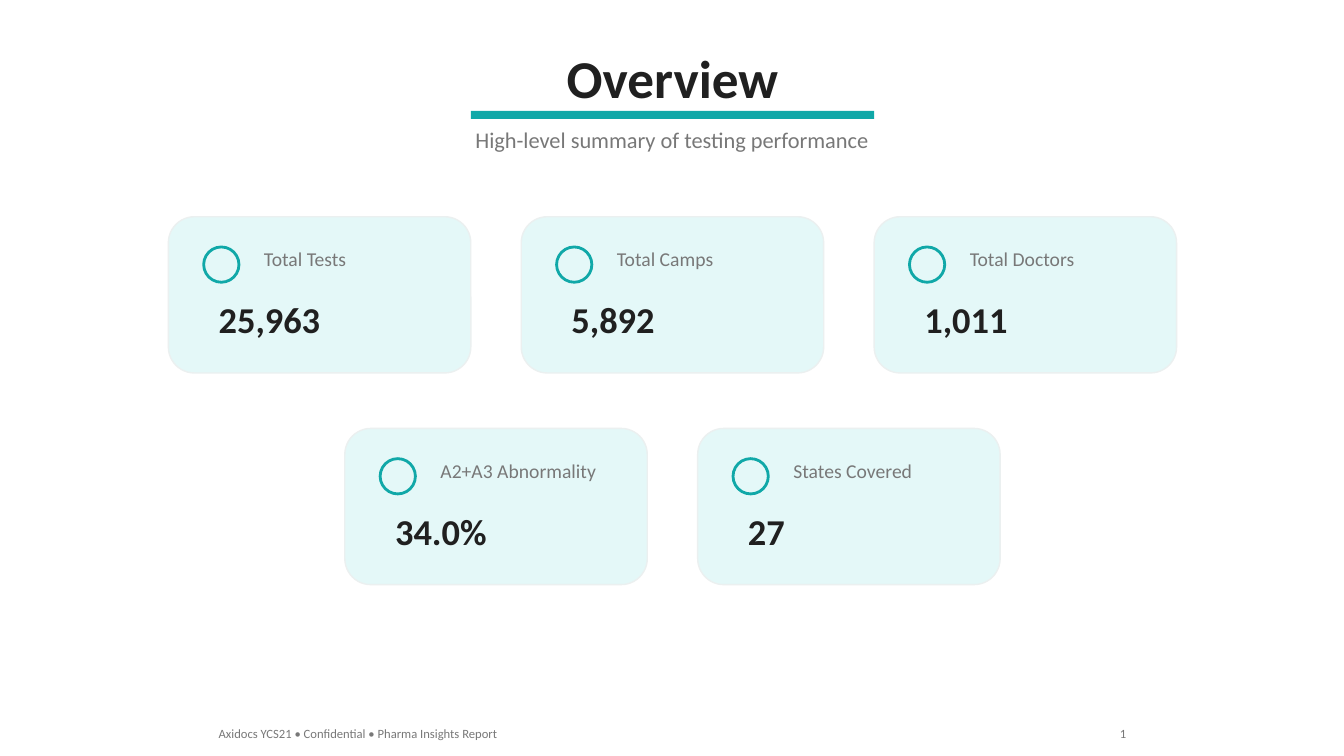
from pptx import Presentation
from pptx.dml.color import RGBColor
from pptx.enum.shapes import MSO_SHAPE
from pptx.enum.text import MSO_ANCHOR, MSO_AUTO_SIZE, PP_ALIGN
from pptx.util import Pt

RECT, CARD, RING = MSO_SHAPE.RECTANGLE, MSO_SHAPE.ROUNDED_RECTANGLE, MSO_SHAPE.OVAL
LEFT, CENTER, RIGHT = PP_ALIGN.LEFT, PP_ALIGN.CENTER, PP_ALIGN.RIGHT
TOP, FIT = MSO_ANCHOR.TOP, MSO_AUTO_SIZE.SHAPE_TO_FIT_TEXT

PX = 9144
WIDTH, HEIGHT = 1333, 750
CARD_W, CARD_H, GAP_X, GAP_Y = 300, 155, 50, 55
FONT = "Calibri"
COLORS = {
    "ink": "202020",
    "muted": "787878",
    "accent": "10A8A8",
    "card": "E4F8F8",
    "edge": "EBF0F0",
}
CARD_ROWS = [
    [("Total Tests", 103, "25,963", 122),
     ("Total Camps", 117, "5,892", 103),
     ("Total Doctors", 125, "1,011", 103)],
    [("A2+A3 Abnormality", 176, "34.0%", 112),
     ("States Covered", 139, "27", 57)],
]


def color(name):
    """Return the named palette colour."""
    return RGBColor.from_string(COLORS[name])


def emu(box):
    """Convert a px box to EMU."""
    return [v * PX for v in box]


def write(sp, text, size, ink="muted", bold=False, align=LEFT):
    """Fill a shape with one unwrapped line of text."""
    tf = sp.text_frame
    tf.word_wrap = False
    tf.auto_size = FIT
    tf.vertical_anchor = TOP
    p = tf.paragraphs[0]
    p.text = text
    p.alignment = align
    p.font.name = FONT
    p.font.size = Pt(size)
    p.font.bold = bold
    p.font.color.rgb = color(ink)


def add_text(s, box, text, size, **style):
    """Add a text box."""
    write(s.shapes.add_textbox(*emu(box)), text, size, **style)


def add_shape(s, kind, box, fill=None, line=None, weight=1):
    """Add a flat preset shape."""
    sp = s.shapes.add_shape(kind, *emu(box))
    sp.shadow.inherit = False
    if fill:
        sp.fill.solid()
        sp.fill.fore_color.rgb = color(fill)
    else:
        sp.fill.background()
    if line:
        sp.line.color.rgb = color(line)
        sp.line.width = Pt(weight)
    else:
        sp.line.fill.background()


def add_header(s, x, y, w):
    """Place the title, its rule and the subtitle, centred on the box."""
    mid = x + w // 2
    title = s.shapes.title
    title.left, title.top, title.width, title.height = emu((mid - 116, y, 232, 74))
    write(title, "Overview", 38, ink="ink", bold=True, align=CENTER)
    add_shape(s, RECT, (x, y + 70, w, 8), fill="accent")
    add_text(s, (mid - 208, y + 80, 415, 37),
             "High-level summary of testing performance", 16, align=CENTER)


def add_card(s, x, y, label, label_w, value, value_w):
    """Place one metric card."""
    add_shape(s, CARD, (x, y, CARD_W, CARD_H), fill="card", line="edge")
    add_shape(s, RING, (x + 35, y + 30, 35, 35), line="accent", weight=2)
    add_text(s, (x + 85, y + 25, label_w, 34), label, 14)
    add_text(s, (x + 40, y + 75, value_w, 54), value, 26, ink="ink", bold=True)


def add_cards(s, y):
    """Place the rows of cards, each centred on the slide."""
    for i, row in enumerate(CARD_ROWS):
        row_w = len(row) * (CARD_W + GAP_X) - GAP_X
        x = (WIDTH - row_w + 1) // 2
        for j, metric in enumerate(row):
            add_card(s, x + j * (CARD_W + GAP_X), y + i * (CARD_H + GAP_Y), *metric)


def add_footer(s, x, y, w):
    """Place the report line and the page number at the ends of the box."""
    add_text(s, (x, y, 305, 25), "Axidocs YCS21 • Confidential • Pharma Insights Report", 9)
    add_text(s, (x + w - 27, y, 27, 25), "1", 9, align=RIGHT)


def main():
    """Build the overview slide."""
    prs = Presentation()
    prs.slide_width, prs.slide_height = WIDTH * PX, HEIGHT * PX
    s = prs.slides.add_slide(prs.slide_layouts[5])
    add_header(s, 467, 40, 400)
    add_cards(s, 215)
    add_footer(s, 207, 715, 920)
    prs.save("out.pptx")


if __name__ == "__main__":
    main()
